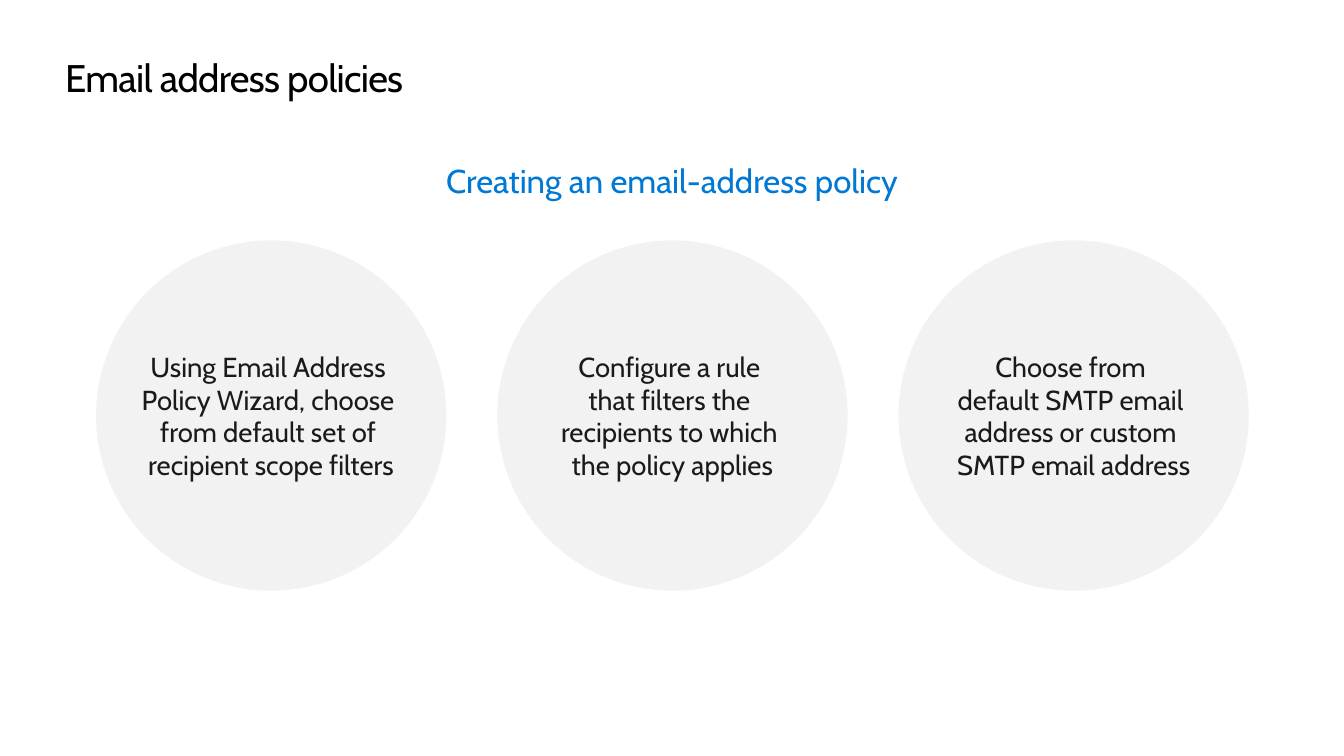
import pptx
import pptx.util
import pptx.dml.color
import pptx.enum.shapes
import pptx.enum.text

Inches = pptx.util.Inches
Pt = pptx.util.Pt
Shape = pptx.enum.shapes.MSO_SHAPE
Align = pptx.enum.text.PP_ALIGN
Anchor = pptx.enum.text.MSO_ANCHOR

COLORS = {
    "white": "FFFFFF",
    "black": "000000",
    "blue": "0078D4",
    "gray": "F2F2F2",
    "ink": "1A1A1A",
}
FONT = "Cabin"
WIDTH = 13.6
LEFT, TOP, SIZE, STEP = 0.93, 2.39, 3.63, 4.06
STEPS = [
    ["Using Email Address ", "Policy Wizard, choose ",
     "from default set of ", "recipient scope filters"],
    ["Configure a rule ", "that filters the ",
     "recipients to which ", "the policy applies"],
    ["Choose from ", "default SMTP email ",
     "address or custom ", "SMTP email address"],
]


def color(name):
    return pptx.dml.color.RGBColor.from_string(COLORS[name])


def clear_insets(frame):
    frame.margin_left = frame.margin_right = 0
    frame.margin_top = frame.margin_bottom = 0


def add_run(para, text, size, tint):
    run = para.add_run()
    run.text = text
    run.font.name = FONT
    run.font.size = Pt(size)
    run.font.color.rgb = color(tint)
    return run


def add_title(slide, text):
    box = slide.shapes.add_textbox(
        Inches(0.66), Inches(0.55), Inches(12.29), Inches(0.48))
    frame = box.text_frame
    frame.word_wrap = True
    clear_insets(frame)
    run = add_run(frame.paragraphs[0], text, 28, "black")
    run.font._element.set("spc", "-50")


def add_shape(slide, kind, left, top, width, height, fill):
    shape = slide.shapes.add_shape(
        kind, Inches(left), Inches(top), Inches(width), Inches(height))
    shape.shadow.inherit = False
    shape.fill.solid()
    shape.fill.fore_color.rgb = color(fill)
    return shape


def add_banner(slide, text):
    banner = add_shape(slide, Shape.RECTANGLE, 0, 1.58, WIDTH, 0.5, "white")
    banner.line.fill.background()
    para = banner.text_frame.paragraphs[0]
    para.alignment = Align.CENTER
    add_run(para, text, 24, "blue")


def add_circle(slide, left, lines):
    circle = add_shape(slide, Shape.OVAL, left, TOP, SIZE, SIZE, "gray")
    circle.line.color.rgb = color("white")
    circle.line.width = Pt(6)
    frame = circle.text_frame
    frame.word_wrap = False
    frame.vertical_anchor = Anchor.MIDDLE
    clear_insets(frame)
    para = frame.paragraphs[0]
    para.alignment = Align.CENTER
    for index, line in enumerate(lines):
        if index:
            para.add_line_break()
        add_run(para, line, 20, "ink")


def main():
    deck = pptx.Presentation()
    deck.slide_width = Inches(WIDTH)
    deck.slide_height = Inches(7.65)
    slide = deck.slides.add_slide(deck.slide_layouts[6])
    add_title(slide, "Email address policies")
    add_banner(slide, "Creating an email-address policy")
    for index, lines in enumerate(STEPS):
        add_circle(slide, LEFT + index * STEP, lines)
    deck.save("out.pptx")


if __name__ == "__main__":
    main()
